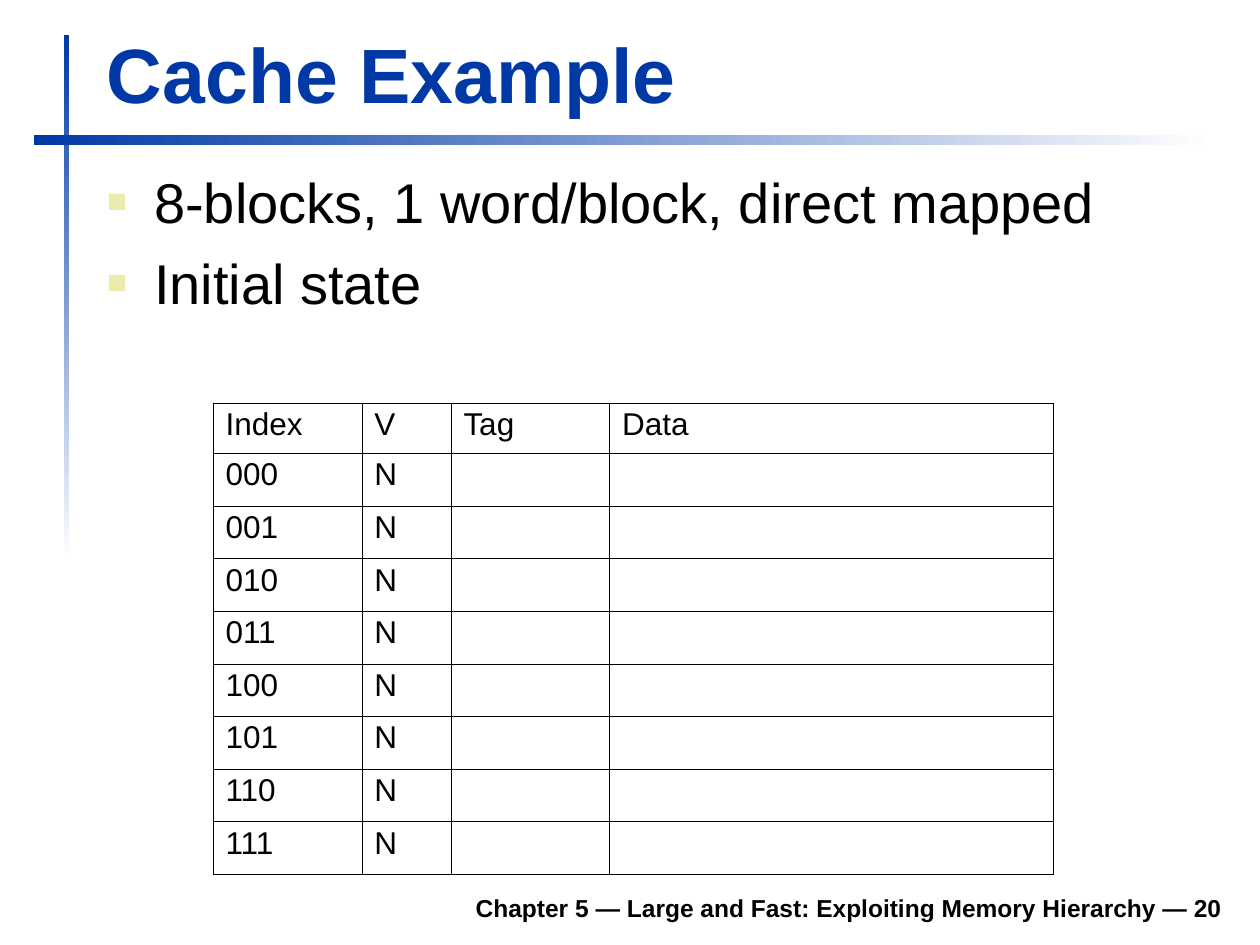
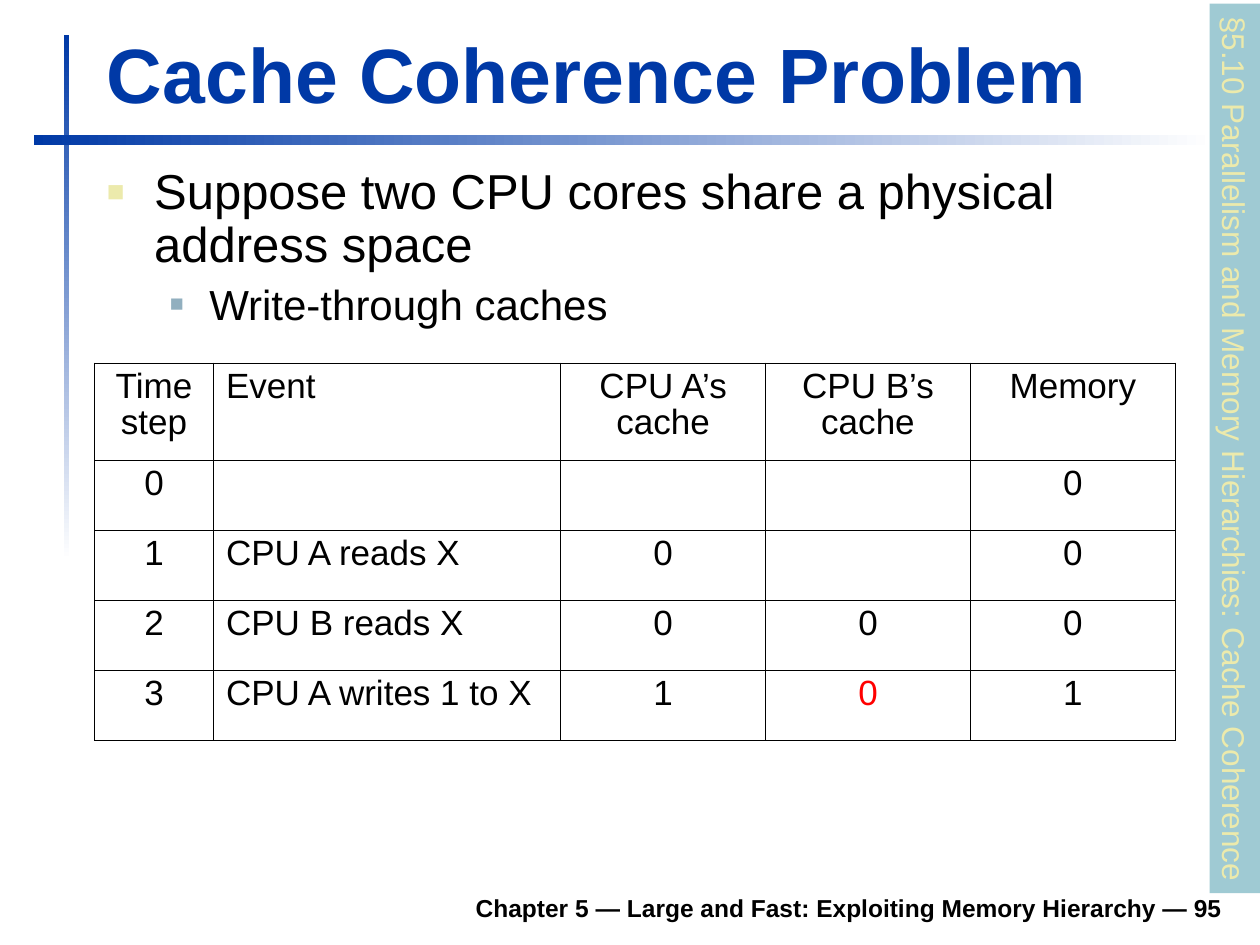
"""Build two lecture slides on cache state and cache coherence."""
import dataclasses

import lxml.etree
import pptx
import pptx.dml.color
import pptx.enum.shapes
import pptx.enum.text
import pptx.oxml.ns
import pptx.util

Pt = pptx.util.Pt
RGB = pptx.dml.color.RGBColor.from_string
qn = pptx.oxml.ns.qn
ALIGN = pptx.enum.text.PP_ALIGN
ANCHOR = pptx.enum.text.MSO_ANCHOR
RECT = pptx.enum.shapes.MSO_SHAPE.RECTANGLE


@dataclasses.dataclass(frozen=True)
class Theme:
    font: str = "Arial"
    blue: str = "0039A6"
    white: str = "FFFFFF"
    black: str = "000000"
    red: str = "FF0000"
    sand: str = "ECEAAC"
    steel: str = "91AFBF"
    teal: str = "9FCAD3"
    title: int = 44
    footer: int = 14
    label: int = 18
    outer_line: float = 0.5
    inner_line: float = 0.25


theme = Theme()
FOOTER = "Chapter 5 — Large and Fast: Exploiting Memory Hierarchy — "
LEVELS = [(27, 27, theme.sand, 60), (58.5, 22.5, theme.steel, 55)]
RULES = [((36.7, 20.2, 2.9, 300), 270), ((19.4, 77, 674.6, 5.8), 0)]

slides = [
    {
        "title": "Cache Example",
        "number": 20,
        "bullets": [("8-blocks, 1 word/block, direct mapped", 0, 32),
                    ("Initial state", 0, 32)],
        "line_spacing": 1.0,
        "section": None,
        "table_at": (121.7, 230.4),
        "columns": [85, 51, 90.7, 253.4],
        "row_heights": [28.6] + [30.1] * 8,
        "cell_size": 18,
        "left_columns": {0, 1, 2, 3},
        "rows": [["Index", "V", "Tag", "Data"]]
                + [[f"{index:03b}", "N", "", ""] for index in range(8)],
        "stale_cell": None,
    },
    {
        "title": "Cache Coherence Problem",
        "number": 95,
        "bullets": [("Suppose two CPU cores share a physical address space", 0, 28),
                    ("Write-through caches", 1, 24)],
        "line_spacing": 0.9,
        "section": "§5.10 Parallelism and Memory Hierarchies: Cache Coherence",
        "table_at": (54, 207.4),
        "columns": [68, 198.4, 117.1, 117.1, 117.1],
        "row_heights": [55.5] + [40] * 4,
        "cell_size": 20,
        "left_columns": {1},
        "rows": [
            ["Time step", "Event", "CPU A’s cache", "CPU B’s cache", "Memory"],
            ["0", "", "", "", "0"],
            ["1", "CPU A reads X", "0", "", "0"],
            ["2", "CPU B reads X", "0", "0", "0"],
            ["3", "CPU A writes 1 to X", "1", "0", "1"],
        ],
        "stale_cell": (4, 3),
    },
]


def style_text(p, size, color, bold=False, align=ALIGN.LEFT):
    p.alignment = align
    for r in p.runs:
        r.font.name = theme.font
        r.font.size = Pt(size)
        r.font.bold = bold
        r.font.color.rgb = RGB(color)


def add_text_box(s, box, anchor):
    tf = s.shapes.add_textbox(*map(Pt, box)).text_frame
    tf.word_wrap = True
    tf.vertical_anchor = anchor
    return tf


prs = pptx.Presentation()
prs.slide_width, prs.slide_height = Pt(720), Pt(540)

for content in slides:
    s = prs.slides.add_slide(prs.slide_layouts[6])

    for box, angle in RULES:
        rule = s.shapes.add_shape(RECT, *map(Pt, box))
        rule.shadow.inherit = False
        rule.line.fill.background()
        rule.fill.gradient()
        rule.fill.gradient_angle = angle
        for stop, color in zip(rule.fill.gradient_stops, (theme.blue, theme.white)):
            stop.color.rgb = RGB(color)

    tf = add_text_box(s, (133.2, 502.6, 572.4, 28), ANCHOR.BOTTOM)
    tf.text = f"{FOOTER}{content['number']}"
    style_text(tf.paragraphs[0], theme.footer, theme.black, True, ALIGN.RIGHT)

    tf = add_text_box(s, (54, 11.5, 650, 59.8), ANCHOR.BOTTOM)
    tf.text = content["title"]
    style_text(tf.paragraphs[0], theme.title, theme.blue, True)

    tf = add_text_box(s, (54, 88.6, 650, 106), ANCHOR.TOP)
    tf.margin_top = Pt(7)
    for i, (text, level, size) in enumerate(content["bullets"]):
        p = tf.add_paragraph() if i else tf.paragraphs[0]
        p.text = text
        p.level = level
        margin, hanging, bullet_color, bullet_percent = LEVELS[level]
        pPr = p._p.get_or_add_pPr()
        pPr.set("marL", str(Pt(margin)))
        pPr.set("indent", str(-Pt(hanging)))
        bullet = lxml.etree.SubElement(pPr, qn("a:buClr"))
        lxml.etree.SubElement(bullet, qn("a:srgbClr"), val=bullet_color)
        lxml.etree.SubElement(pPr, qn("a:buSzPct"), val=str(bullet_percent * 1000))
        lxml.etree.SubElement(pPr, qn("a:buFont"), typeface=theme.font)
        lxml.etree.SubElement(pPr, qn("a:buChar"), char="■")
        p.line_spacing = content["line_spacing"]
        if i:
            p.space_before = Pt(size / 4)
        style_text(p, size, theme.black)

    if content["section"]:
        sp = s.shapes.add_shape(RECT, Pt(451.4), Pt(241.9), Pt(508.3), Pt(28.8))
        sp.rotation = 90
        sp.shadow.inherit = False
        sp.fill.solid()
        sp.fill.fore_color.rgb = RGB(theme.teal)
        sp.line.fill.background()
        tf = sp.text_frame
        tf.word_wrap = False
        tf.vertical_anchor = ANCHOR.TOP
        tf.text = content["section"]
        style_text(tf.paragraphs[0], theme.label, theme.sand)

    rows, columns, heights = content["rows"], content["columns"], content["row_heights"]
    left, top = content["table_at"]
    table = s.shapes.add_table(len(rows), len(columns), Pt(left), Pt(top),
                               Pt(sum(columns)), Pt(sum(heights))).table
    table.first_row = table.horz_banding = False
    for column, width in zip(table.columns, columns):
        column.width = Pt(width)
    for row, height in zip(table.rows, heights):
        row.height = Pt(height)

    for i, values in enumerate(rows):
        for j, value in enumerate(values):
            cell = table.cell(i, j)
            cell.fill.background()
            edges = {"a:lnL": j == 0, "a:lnR": j == len(columns) - 1,
                     "a:lnT": i == 0, "a:lnB": i == len(rows) - 1}
            for position, (tag, is_outer) in enumerate(edges.items()):
                width = theme.outer_line if is_outer else theme.inner_line
                line = lxml.etree.Element(qn(tag), w=str(Pt(width)))
                fill = lxml.etree.SubElement(line, qn("a:solidFill"))
                lxml.etree.SubElement(fill, qn("a:srgbClr"), val=theme.black)
                cell._tc.tcPr.insert(position, line)
            if value:
                cell.text_frame.text = value
                p = cell.text_frame.paragraphs[0]
                p.line_spacing = 0.93
                color = theme.red if (i, j) == content["stale_cell"] else theme.black
                align = ALIGN.LEFT if j in content["left_columns"] else ALIGN.CENTER
                style_text(p, content["cell_size"], color, align=align)

prs.save("out.pptx")
